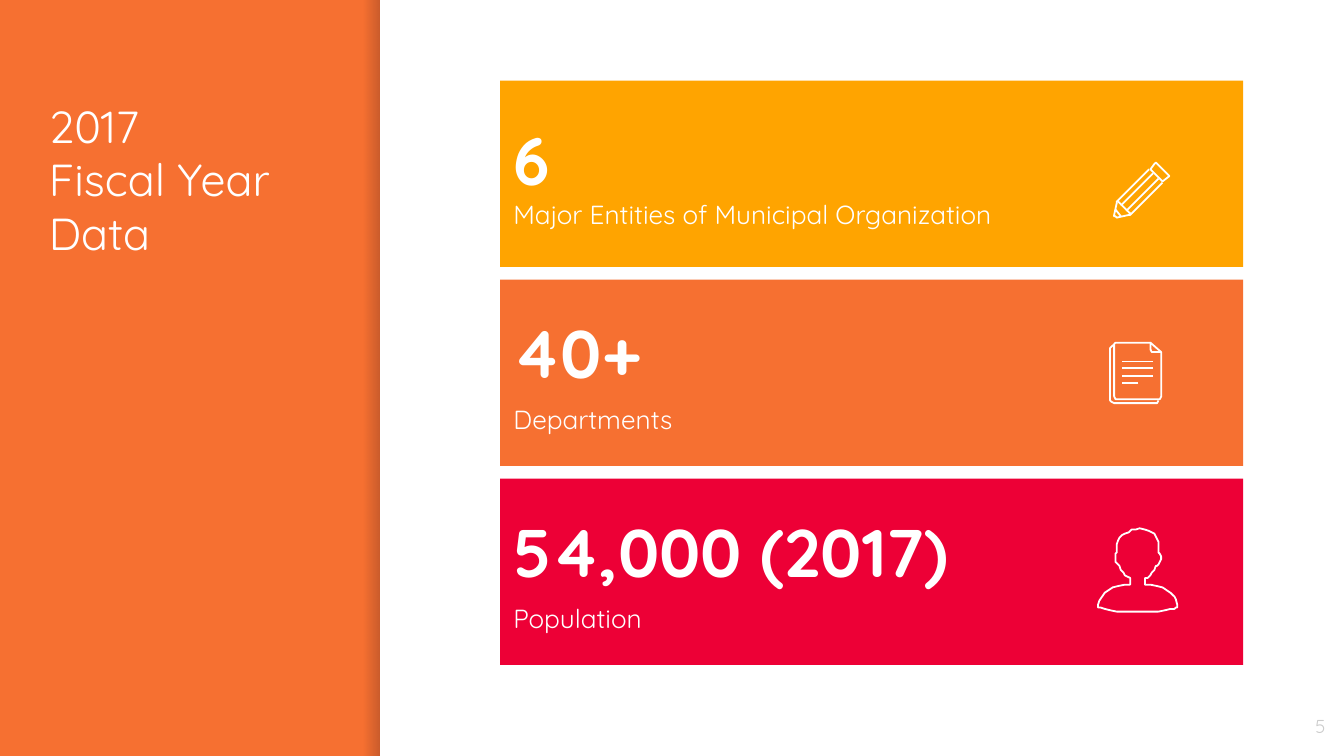
"""Build the fiscal year data slide with three colour cards and line icons."""
from dataclasses import dataclass

from lxml import etree
from pptx import Presentation
from pptx.dml.color import RGBColor
from pptx.enum.shapes import MSO_CONNECTOR, MSO_SHAPE
from pptx.enum.text import MSO_ANCHOR, MSO_AUTO_SIZE, PP_ALIGN
from pptx.oxml.ns import qn
from pptx.util import Pt

RECTANGLE = MSO_SHAPE.RECTANGLE
STRAIGHT = MSO_CONNECTOR.STRAIGHT
TOP, MIDDLE = MSO_ANCHOR.TOP, MSO_ANCHOR.MIDDLE
LEFT, RIGHT = PP_ALIGN.LEFT, PP_ALIGN.RIGHT
NO_AUTOFIT = MSO_AUTO_SIZE.NONE

SLIDE_WIDTH, SLIDE_HEIGHT = 720, 405
SIDEBAR_WIDTH = 203.6
SHADE_WIDTH = 9
CARD_LEFT, CARD_TOP, CARD_WIDTH, CARD_HEIGHT = 267.9, 43.2, 398.1, 99.9
CARD_PITCH = 106.6
ICON_UNIT = 0.72


@dataclass(frozen=True)
class Theme:
    font: str = "Quicksand"
    white: str = "FFFFFF"
    amber: str = "FFA400"
    orange: str = "F67031"
    red: str = "ED0036"
    shade: str = "000014"
    muted: str = "CCCCCC"
    title: int = 24
    figure: int = 36
    label: int = 14
    page: int = 10
    inset: float = 7.2
    stroke: float = 0.96


PENCIL = [
    [(40, 9), (32, 1), (31, 0), (30, 1), (27, 5), (36, 14), (40, 11), (41, 10), (40, 9)],
    [(33, 12), (9, 36)],
    [(26, 5), (2, 29), (2, 30), (0, 39), (0, 40), (1, 40), (2, 41), (11, 39), (12, 39), (36, 15)],
    [(5, 32), (29, 8)],
    [(5, 40), (1, 35)],
    [(2, 29), (3, 29), (12, 38), (11, 39)],
]
DOCUMENT = [
    [(36, 43), (35, 45), (34, 45), (3, 45), (1, 44), (0, 43), (0, 4), (1, 3), (2, 2), (3, 2)],
    [(38, 7), (38, 40), (37, 42), (36, 42), (5, 42), (4, 42), (3, 40), (3, 1), (4, 0), (5, 0),
     (30, 0)],
    *[[(right, y), (9, y)] for right, y in ((21, 30), (32, 25), (32, 19), (32, 14))],
    [(30, 0), (38, 7), (32, 7), (31, 7), (30, 5), (30, 0)],
]
PERSON = [
    [(37, 42), (35, 42), (35, 37), (37, 37), (38, 36), (39, 35), (40, 33), (42, 31), (43, 28),
     (44, 28), (45, 27), (46, 25), (47, 23), (47, 21), (46, 19), (45, 18), (45, 13), (45, 10),
     (44, 8), (43, 6), (42, 4), (40, 3), (38, 2), (35, 1), (31, 0), (28, 1), (25, 1), (24, 2),
     (23, 3), (20, 4), (18, 5), (16, 7), (15, 9), (14, 12), (14, 18), (13, 19), (13, 25),
     (15, 27), (16, 28), (17, 31), (19, 33), (20, 35), (22, 36), (24, 37), (24, 42), (20, 42),
     (15, 43), (11, 44), (8, 46), (5, 48), (3, 51), (1, 54), (0, 57), (0, 59), (2, 59),
     (5, 60), (9, 61), (14, 62), (21, 62), (30, 62), (38, 62), (45, 62), (50, 61), (54, 60),
     (57, 60), (58, 59), (59, 59), (59, 57), (58, 53), (57, 51), (54, 48), (51, 46), (48, 44),
     (44, 43), (39, 42), (37, 42)],
]


def write(paragraph, text, *, font, size, color, bold=False, align=LEFT, before=0):
    paragraph.text = text
    paragraph.alignment = align
    paragraph.space_before = Pt(before)
    paragraph.font.name = font
    paragraph.font.size = Pt(size)
    paragraph.font.bold = bold
    paragraph.font.color.rgb = RGBColor.from_string(color)


class SlideBuilder:
    def __init__(self, slide, theme):
        self.slide = slide
        self.theme = theme

    def background(self, color):
        fill = self.slide.background.fill
        fill.solid()
        fill.fore_color.rgb = RGBColor.from_string(color)

    def frame(self, holder, anchor):
        frame = holder.text_frame
        frame.word_wrap = True
        frame.auto_size = NO_AUTOFIT
        frame.vertical_anchor = anchor
        frame.margin_left = frame.margin_right = Pt(self.theme.inset)
        frame.margin_top = frame.margin_bottom = Pt(self.theme.inset)
        return frame

    def panel(self, left, top, width, height, color):
        panel = self.slide.shapes.add_shape(RECTANGLE, Pt(left), Pt(top), Pt(width), Pt(height))
        panel.shadow.inherit = False
        panel.line.fill.background()
        panel.fill.solid()
        panel.fill.fore_color.rgb = RGBColor.from_string(color)
        return panel

    def edge_shade(self, left, width, opacity):
        shade = self.panel(left, 0, width, SLIDE_HEIGHT, self.theme.shade)
        shade.fill.gradient()
        shade.fill.gradient_angle = 0
        for stop in shade.fill.gradient_stops:
            stop.color.rgb = RGBColor.from_string(self.theme.shade)
        tints = shade._element.spPr.iter(qn("a:srgbClr"))
        for tint, percent in zip(tints, (0, opacity)):
            etree.SubElement(tint, qn("a:alpha")).set("val", str(percent * 1000))

    def title(self, text, left, top, width, height):
        title = self.slide.shapes.title
        title.left, title.top, title.width, title.height = map(Pt, (left, top, width, height))
        write(self.frame(title, TOP).paragraphs[0], text, font=self.theme.font,
              size=self.theme.title, color=self.theme.white)

    def page_number(self, text, left, top, width, height):
        number = self.slide.shapes.add_textbox(Pt(left), Pt(top), Pt(width), Pt(height))
        write(self.frame(number, MIDDLE).paragraphs[0], text, font=self.theme.font,
              size=self.theme.page, color=self.theme.muted, align=RIGHT)

    def card(self, top, figure, label, color, gap):
        card = self.panel(CARD_LEFT, top, CARD_WIDTH, CARD_HEIGHT, color)
        frame = self.frame(card, MIDDLE)
        style = {"font": self.theme.font, "color": self.theme.white}
        write(frame.paragraphs[0], figure, size=self.theme.figure, bold=True, **style)
        write(frame.add_paragraph(), label, size=self.theme.label, before=gap, **style)

    def ink(self, stroke):
        stroke.line.color.rgb = RGBColor.from_string(self.theme.white)
        stroke.line.width = Pt(self.theme.stroke)

    def straight(self, shapes, left, top, ends):
        (x1, y1), (x2, y2) = [(Pt(left + x * ICON_UNIT), Pt(top + y * ICON_UNIT)) for x, y in ends]
        stroke = shapes.add_connector(STRAIGHT, x1, y1, x2, y2)
        etree.SubElement(stroke._element.spPr, qn("a:effectLst"))
        self.ink(stroke)

    def outline(self, shapes, left, top, points):
        builder = shapes.build_freeform(*points[0], scale=Pt(ICON_UNIT))
        builder.add_line_segments(points[1:], close=points[0] == points[-1])
        stroke = builder.convert_to_shape(Pt(left), Pt(top))
        stroke.shadow.inherit = False
        stroke.fill.background()
        self.ink(stroke)

    def icon(self, left, top, strokes):
        shapes = self.slide.shapes
        if len(strokes) > 1:
            shapes = shapes.add_group_shape().shapes
        for points in strokes:
            draw = self.straight if len(points) == 2 else self.outline
            draw(shapes, left, top, points)


def main():
    theme = Theme()
    deck = Presentation()
    deck.slide_width, deck.slide_height = Pt(SLIDE_WIDTH), Pt(SLIDE_HEIGHT)
    page = SlideBuilder(deck.slides.add_slide(deck.slide_layouts[5]), theme)

    page.background(theme.orange)
    page.edge_shade(SIDEBAR_WIDTH - SHADE_WIDTH, SHADE_WIDTH, 20)
    page.panel(SIDEBAR_WIDTH, 0, SLIDE_WIDTH - SIDEBAR_WIDTH, SLIDE_HEIGHT, theme.white)
    page.page_number("5", 674, 373.7, 43.2, 31)
    page.title("2017\vFiscal Year Data", 19, 45.4, 161.3, 313.2)

    cards = [
        ("6", "Major Entities of Municipal Organization", theme.amber, 0, (596.9, 87.1, PENCIL)),
        ("40+", "Departments", theme.orange, 6, (594.7, 183.6, DOCUMENT)),
        ("54,000 (2017)", "Population", theme.red, 6, (588.2, 283, PERSON)),
    ]
    for row, (figure, label, color, gap, icon) in enumerate(cards):
        page.card(CARD_TOP + row * CARD_PITCH, figure, label, color, gap)
        page.icon(*icon)

    deck.save("out.pptx")


if __name__ == "__main__":
    main()
